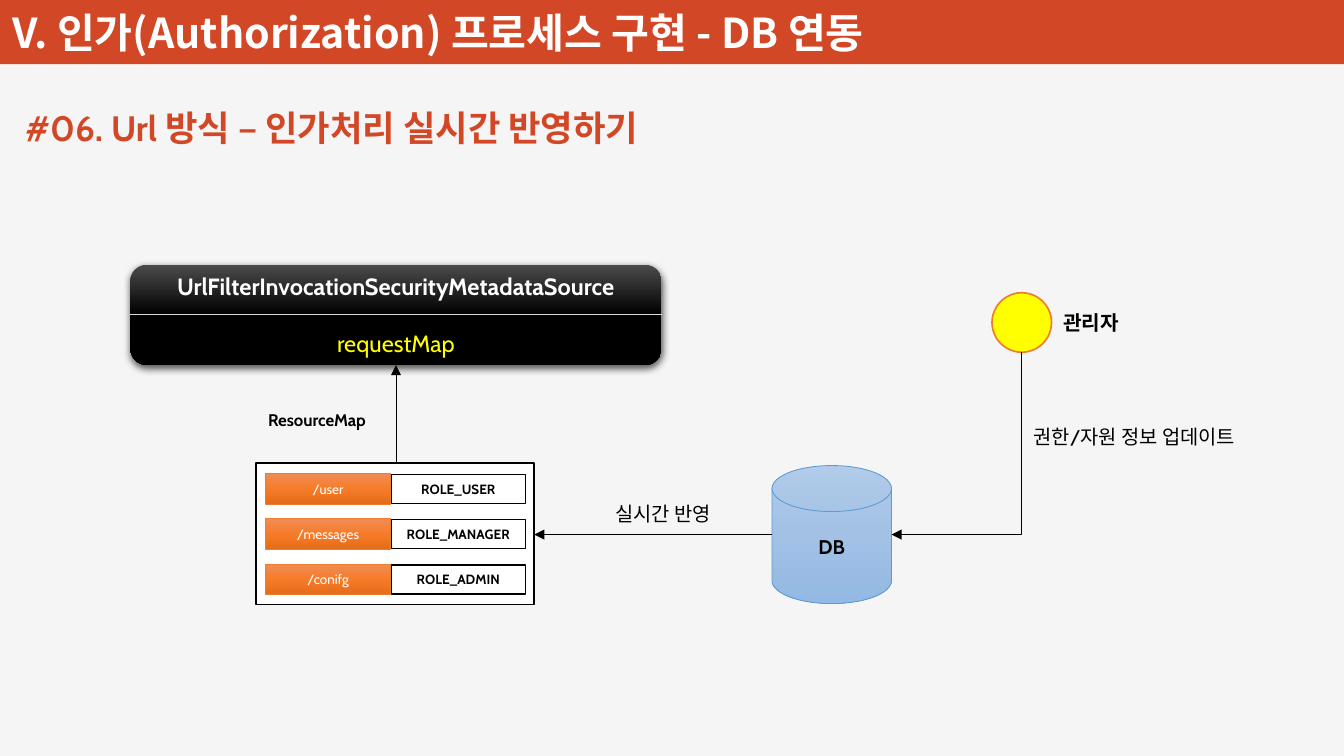
from dataclasses import dataclass

from lxml.etree import SubElement
from pptx import Presentation
from pptx.dml.color import RGBColor
from pptx.enum.shapes import MSO_CONNECTOR, MSO_SHAPE
from pptx.enum.text import MSO_ANCHOR, MSO_AUTO_SIZE, PP_ALIGN
from pptx.oxml.ns import qn
from pptx.util import Cm, Pt


@dataclass(frozen=True)
class Theme:
    """Colours, fonts and type sizes of the slide."""
    latin: str = "Cabin"
    korean: str = "Noto Sans CJK KR"
    background: str = "F5F5F5"
    accent: str = "D24726"
    white: str = "FFFFFF"
    black: str = "000000"
    yellow: str = "FFFF00"
    orange: str = "ED7D31"
    blue: str = "5B9BD5"
    divider: str = "D9D9D9"
    black_shades: tuple = ("4B4B4B", "000000", "000000")
    orange_shades: tuple = ("F18C57", "F67B28", "E56C19")
    blue_shades: tuple = ("B1CBE9", "A3C1E5", "93B9E4")
    title: float = 24.5
    heading: float = 21
    class_name: float = 14
    actor: float = 12
    label: float = 11.8
    caption: float = 10
    cell: float = 8


@dataclass(frozen=True)
class Box:
    """A rectangle measured in centimetres."""
    x: float
    y: float
    w: float
    h: float

    @property
    def lengths(self):
        """Return left, top, width and height as slide lengths."""
        return Cm(self.x), Cm(self.y), Cm(self.w), Cm(self.h)

    @property
    def center(self):
        """Return the horizontal and vertical middle."""
        return self.x + self.w / 2, self.y + self.h / 2

    def inner(self, dx, dy, w, h):
        """Return a box placed relative to this one."""
        return Box(self.x + dx, self.y + dy, w, h)


THEME = Theme()


def write(frame, text, size, color, bold=False, align=PP_ALIGN.LEFT,
          font=THEME.latin, before=0, new=False):
    """Write one formatted paragraph into a text frame."""
    paragraph = frame.add_paragraph() if new else frame.paragraphs[0]
    paragraph.alignment = align
    paragraph.space_before = Pt(before)
    run = paragraph.add_run()
    run.text = text
    run.font.name = font
    run.font.size = Pt(size)
    run.font.bold = bold
    run.font.color.rgb = RGBColor.from_string(color)
    SubElement(run.font._element, qn("a:ea"), typeface=THEME.korean)


def add_label(slide, box, text, size, color=THEME.black, bold=False):
    """Add a one-line free text that fits its words."""
    frame = slide.shapes.add_textbox(*box.lengths).text_frame
    frame.word_wrap = False
    frame.auto_size = MSO_AUTO_SIZE.SHAPE_TO_FIT_TEXT
    write(frame, text, size, color, bold=bold)


def shade(shape, shades):
    """Fill a shape with a vertical gradient of evenly spaced colours."""
    shape.fill.gradient()
    shape.fill.gradient_angle = 270
    stops = shape.element.spPr.find(".//" + qn("a:gsLst"))
    for stop in list(stops):
        stops.remove(stop)
    for index, color in enumerate(shades):
        position = 100000 * index // (len(shades) - 1)
        stop = SubElement(stops, qn("a:gs"), pos=str(position))
        SubElement(stop, qn("a:srgbClr"), val=color)


def add_figure(slide, kind, box, fill, outline=None, weight=0.5):
    """Add a preset shape with a plain or shaded fill."""
    figure = slide.shapes.add_shape(kind, *box.lengths)
    figure.shadow.inherit = False
    if isinstance(fill, tuple):
        shade(figure, fill)
    else:
        figure.fill.solid()
        figure.fill.fore_color.rgb = RGBColor.from_string(fill)
    if outline:
        figure.line.color.rgb = RGBColor.from_string(outline)
        figure.line.width = Pt(weight)
    else:
        figure.line.fill.background()
    figure.text_frame.vertical_anchor = MSO_ANCHOR.MIDDLE
    return figure


def add_line(slide, start, end, color=THEME.black, arrow=True, kind=MSO_CONNECTOR.STRAIGHT):
    """Add a thin line, with an arrowhead at its end if wanted."""
    line = slide.shapes.add_connector(kind, *map(Cm, start + end))
    line.line.color.rgb = RGBColor.from_string(color)
    line.line.width = Pt(0.5)
    properties = line.element.spPr
    if arrow:
        SubElement(properties.find(qn("a:ln")), qn("a:tailEnd"), type="triangle")
    SubElement(properties, qn("a:effectLst"))
    return line


def add_corner_arrow(slide, start, end):
    """Add an arrow that runs down and then turns left."""
    across, down = start[0] - end[0], end[1] - start[1]
    left = (start[0] + end[0] - down) / 2
    top = (start[1] + end[1] - across) / 2
    arrow = add_line(slide, (left, top), (left + down, top + across), kind=MSO_CONNECTOR.ELBOW)
    properties = arrow.element.spPr
    properties.find(qn("a:xfrm")).set("rot", "5400000")
    properties.find(qn("a:prstGeom")).set("prst", "bentConnector2")


def add_header(slide, box):
    """Draw the title band and the heading below it."""
    add_figure(slide, MSO_SHAPE.RECTANGLE, box, THEME.accent)
    title = slide.shapes.add_textbox(*box.inner(0.03, -0.25, 20.32, 1.55).lengths).text_frame
    title.word_wrap = True
    title.vertical_anchor = MSO_ANCHOR.BOTTOM
    title.margin_left = title.margin_right = Cm(0.23)
    title.margin_top = title.margin_bottom = Cm(0.1)
    write(title, "V. 인가(Authorization) 프로세스 구현 - DB 연동", THEME.title,
          THEME.white, bold=True, font=THEME.korean)
    add_label(slide, box.inner(0.28, 2.11, 14.4, 1.14), "#06. Url 방식 – 인가처리 실시간 반영하기",
              THEME.heading, THEME.accent, bold=True)


def add_metadata_source(slide, box):
    """Draw the class card with its requestMap field."""
    card = add_figure(slide, MSO_SHAPE.ROUNDED_RECTANGLE, box, THEME.black_shades)
    effects = card.element.spPr.find(qn("a:effectLst"))
    shadow = SubElement(effects, qn("a:outerShdw"), blurRad=str(Pt(4.5)),
                        dist=str(Pt(1.5)), dir="5400000", rotWithShape="0")
    tint = SubElement(shadow, qn("a:srgbClr"), val=THEME.black)
    SubElement(tint, qn("a:alpha"), val="63000")
    write(card.text_frame, "UrlFilterInvocationSecurityMetadataSource", THEME.class_name,
          THEME.white, bold=True, align=PP_ALIGN.CENTER)
    write(card.text_frame, "requestMap", THEME.class_name, THEME.yellow,
          align=PP_ALIGN.CENTER, before=17, new=True)
    divider = box.y + box.h / 2
    add_line(slide, (box.x, divider), (box.x + box.w, divider), THEME.divider, arrow=False)


def add_resource_map(slide, box):
    """Draw the map of addresses to roles."""
    add_label(slide, box.inner(0, -1.25, 2.79, 0.69), "ResourceMap", THEME.caption, bold=True)
    add_figure(slide, MSO_SHAPE.RECTANGLE, box, THEME.white, THEME.black, 1)
    roles = {"/user": "ROLE_USER", "/messages": "ROLE_MANAGER", "/conifg": "ROLE_ADMIN"}
    for row, (address, role) in enumerate(roles.items()):
        top = 0.22 + 0.95 * row
        key = add_figure(slide, MSO_SHAPE.RECTANGLE, box.inner(0.2, top, 2.62, 0.64),
                         THEME.orange_shades, THEME.orange)
        write(key.text_frame, address, THEME.cell, THEME.white, align=PP_ALIGN.CENTER)
        value = add_figure(slide, MSO_SHAPE.RECTANGLE, box.inner(2.84, top + 0.02, 2.81, 0.61),
                           THEME.white, THEME.black, 0.75)
        write(value.text_frame, role, THEME.cell, THEME.black, bold=True, align=PP_ALIGN.CENTER)


def add_database(slide, box):
    """Draw the database cylinder."""
    database = add_figure(slide, MSO_SHAPE.FLOWCHART_MAGNETIC_DISK, box,
                          THEME.blue_shades, THEME.blue)
    write(database.text_frame, "DB", THEME.label, THEME.black, bold=True, align=PP_ALIGN.CENTER)


def add_administrator(slide, box):
    """Draw the administrator and the label of the update."""
    add_figure(slide, MSO_SHAPE.OVAL, box, THEME.yellow, THEME.orange, 1)
    add_label(slide, box.inner(box.w, 0.25, 1.8, 0.76), "관리자", THEME.actor, bold=True)
    add_label(slide, box.inner(box.w / 2, 2.64, 5.11, 0.76), "권한/자원 정보 업데이트", THEME.label)


def add_flows(slide, source, resources, database, administrator):
    """Draw the arrows that join the parts."""
    middle, level = source.center[0], database.center[1]
    add_line(slide, (middle, resources.y), (middle, source.y + source.h))
    add_line(slide, (database.x, level), (resources.x + resources.w, level))
    add_label(slide, database.inner(-3.54, 0.63, 2.72, 0.76), "실시간 반영", THEME.label)
    add_corner_arrow(slide, (administrator.center[0], administrator.y + administrator.h),
                     (database.x + database.w, level))


def main():
    """Build and save the slide."""
    presentation = Presentation()
    presentation.slide_width, presentation.slide_height = Cm(28.22), Cm(15.88)
    slide = presentation.slides.add_slide(presentation.slide_layouts[6])
    slide.background.fill.solid()
    slide.background.fill.fore_color.rgb = RGBColor.from_string(THEME.background)
    source, resources = Box(2.74, 5.56, 11.15, 2.11), Box(5.38, 9.73, 5.84, 2.97)
    database, administrator = Box(16.21, 9.78, 2.51, 2.9), Box(20.83, 6.15, 1.25, 1.25)
    add_header(slide, Box(0, 0, 28.22, 1.35))
    add_metadata_source(slide, source)
    add_resource_map(slide, resources)
    add_database(slide, database)
    add_administrator(slide, administrator)
    add_flows(slide, source, resources, database, administrator)
    presentation.save("out.pptx")


if __name__ == "__main__":
    main()
